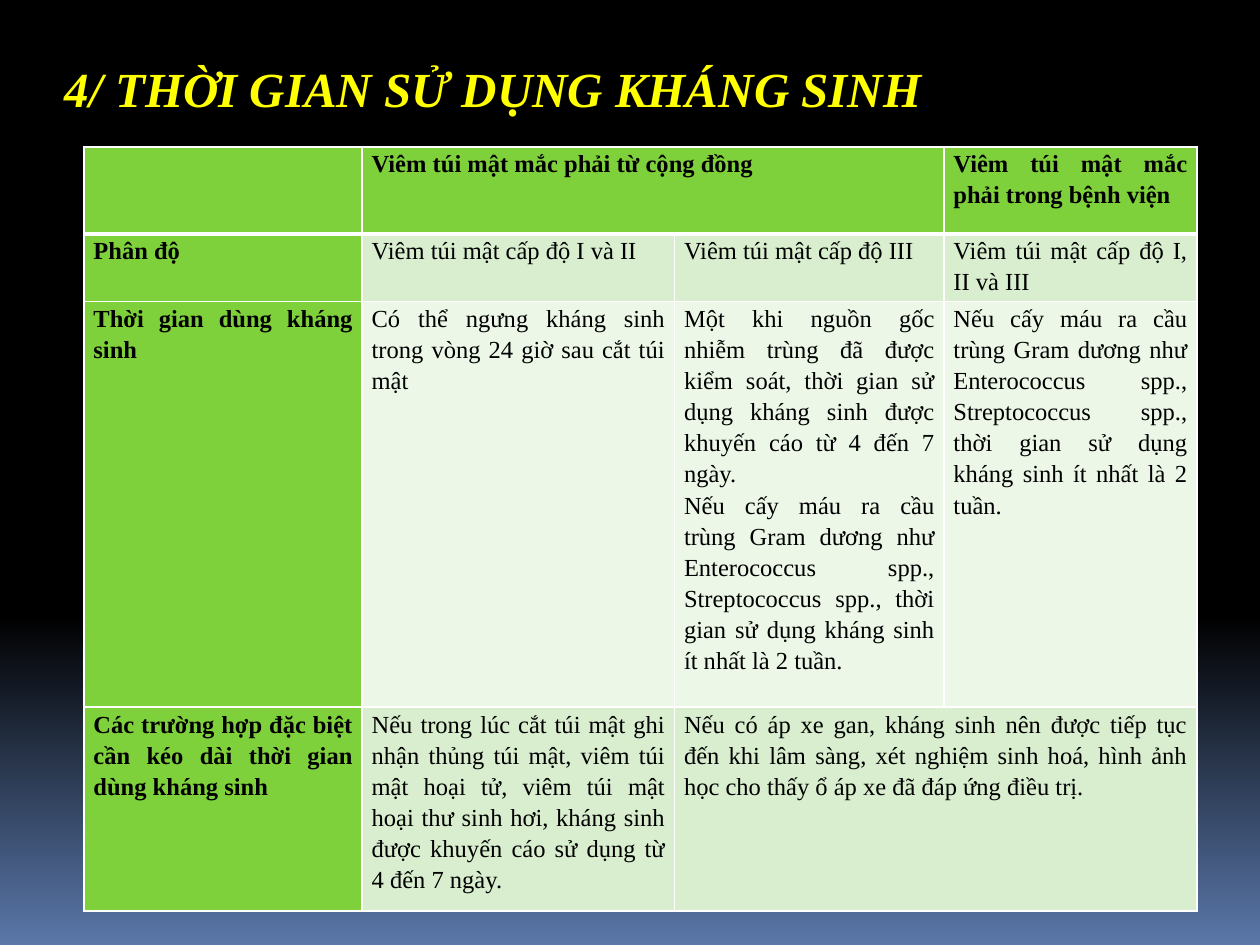
import copy
from dataclasses import dataclass

import pptx
import pptx.dml.color
import pptx.enum.text
import pptx.oxml
import pptx.oxml.ns
import pptx.util

Pt = pptx.util.Pt
RGB = pptx.dml.color.RGBColor.from_string
qn = pptx.oxml.ns.qn


@dataclass(frozen=True)
class Theme:
    face: str = "Times New Roman"
    title: str = "FFFF00"
    ink: str = "000000"
    rule: str = "FFFFFF"
    head: str = "7FD13B"
    band: str = "D8EECE"
    pale: str = "ECF7E8"
    night: str = "000000"
    dusk: str = "5A77A9"
    big: int = 28
    small: int = 14


def apply(item, values):
    for name, value in values.items():
        setattr(item, name, value)


class Deck:
    def __init__(self, theme, width, height):
        self.theme = theme
        self.file = pptx.Presentation()
        apply(self.file, {"slide_width": Pt(width), "slide_height": Pt(height)})
        self.slide = self.file.slides.add_slide(self.file.slide_layouts[6])

    def back(self):
        """Fade the background from night to dusk over its lowest third."""
        fill = self.slide.background.fill
        fill.gradient()
        fill.gradient_angle = 270
        fill.gradient_stops[0].color.rgb = RGB(self.theme.night)
        stops = self.slide.element.find(".//" + qn("a:gsLst"))
        stops.insert(1, copy.deepcopy(stops[0]))
        _, mid, last = fill.gradient_stops
        mid.position = 0.65
        last.position = 1
        last.color.rgb = RGB(self.theme.dusk)

    def label(self, frame, text, size, color, para=None, **font):
        frame.text = text
        for part in frame.paragraphs:
            apply(part, para or {})
            for run in part.runs:
                apply(run.font, {"name": self.theme.face, "size": Pt(size), **font})
                run.font.color.rgb = RGB(color)

    def title(self, text, left, top, width, height):
        box = self.slide.shapes.add_textbox(Pt(left), Pt(top), Pt(width), Pt(height))
        box.text_frame.word_wrap = True
        self.label(box.text_frame, text, self.theme.big, self.theme.title,
                   bold=True, italic=True)

    def edge(self, cell, **sides):
        """Draw cell borders; each side (L, R, T, B) gets its width in points."""
        props = cell._tc.get_or_add_tcPr()
        for spot, (side, width) in enumerate(sides.items()):
            line = pptx.oxml.parse_xml(
                f'<a:ln{side} {pptx.oxml.ns.nsdecls("a")} w="{Pt(width)}"><a:solidFill>'
                f'<a:srgbClr val="{self.theme.rule}"/></a:solidFill></a:ln{side}>')
            props.insert(spot, line)

    def table(self, left, top, widths, heights, texts, spans):
        theme = self.theme
        grid = self.slide.shapes.add_table(
            len(heights), len(widths), Pt(left), Pt(top),
            Pt(sum(widths)), Pt(sum(heights))).table
        apply(grid, {"first_row": False, "horz_banding": False})
        for col, width in zip(grid.columns, widths):
            col.width = Pt(width)
        for row, height in zip(grid.rows, heights):
            row.height = Pt(height)
        pad = {"margin_left": Pt(5.4), "margin_right": Pt(5.4),
               "margin_top": 0, "margin_bottom": 0}
        para = {"alignment": pptx.enum.text.PP_ALIGN.JUSTIFY, "line_spacing": 1.15}
        for r, line in enumerate(texts):
            for c, text in enumerate(line):
                cell = grid.cell(r, c)
                key = r == 0 or c == 0
                apply(cell, pad)
                self.edge(cell, L=1, R=1, T=3 if r == 1 else 1, B=3 if r == 0 else 1)
                cell.fill.solid()
                shade = theme.head if key else theme.band if r % 2 else theme.pale
                cell.fill.fore_color.rgb = RGB(shade)
                if text:
                    self.label(cell.text_frame, text, theme.small, theme.ink,
                               para, bold=key)
        for r, start, end in spans:
            grid.cell(r, start).merge(grid.cell(r, end))


BLOOD = ("Nếu cấy máu ra cầu trùng Gram dương như Enterococcus spp., "
         "Streptococcus spp., thời gian sử dụng kháng sinh ít nhất là 2 tuần.")
TEXTS = [
    ["", "Viêm túi mật mắc phải từ cộng đồng", "",
     "Viêm túi mật mắc phải trong bệnh viện"],
    ["Phân độ", "Viêm túi mật cấp độ I và II", "Viêm túi mật cấp độ III",
     "Viêm túi mật cấp độ I, II và III"],
    ["Thời gian dùng kháng sinh",
     "Có thể ngưng kháng sinh trong vòng 24 giờ sau cắt túi mật",
     "Một khi nguồn gốc nhiễm trùng đã được kiểm soát, thời gian sử dụng "
     "kháng sinh được khuyến cáo từ 4 đến 7 ngày.\n" + BLOOD,
     BLOOD],
    ["Các trường hợp đặc biệt cần kéo dài thời gian dùng kháng sinh",
     "Nếu trong lúc cắt túi mật ghi nhận thủng túi mật, viêm túi mật hoại tử, "
     "viêm túi mật hoại thư sinh hơi, kháng sinh được khuyến cáo sử dụng từ "
     "4 đến 7 ngày.",
     "Nếu có áp xe gan, kháng sinh nên được tiếp tục đến khi lâm sàng, "
     "xét nghiệm sinh hoá, hình ảnh học cho thấy ổ áp xe đã đáp ứng điều trị.",
     ""],
]


def main():
    deck = Deck(Theme(), 720, 540)
    deck.back()
    deck.title("4/ THỜI GIAN SỬ DỤNG KHÁNG SINH", 30, 30, 558, 41)
    deck.table(48, 84, [159, 178.5, 154, 144.5], [49.7, 38.5, 231.8, 116.6],
               TEXTS, [(0, 1, 2), (3, 2, 3)])
    deck.file.save("out.pptx")


if __name__ == "__main__":
    main()
